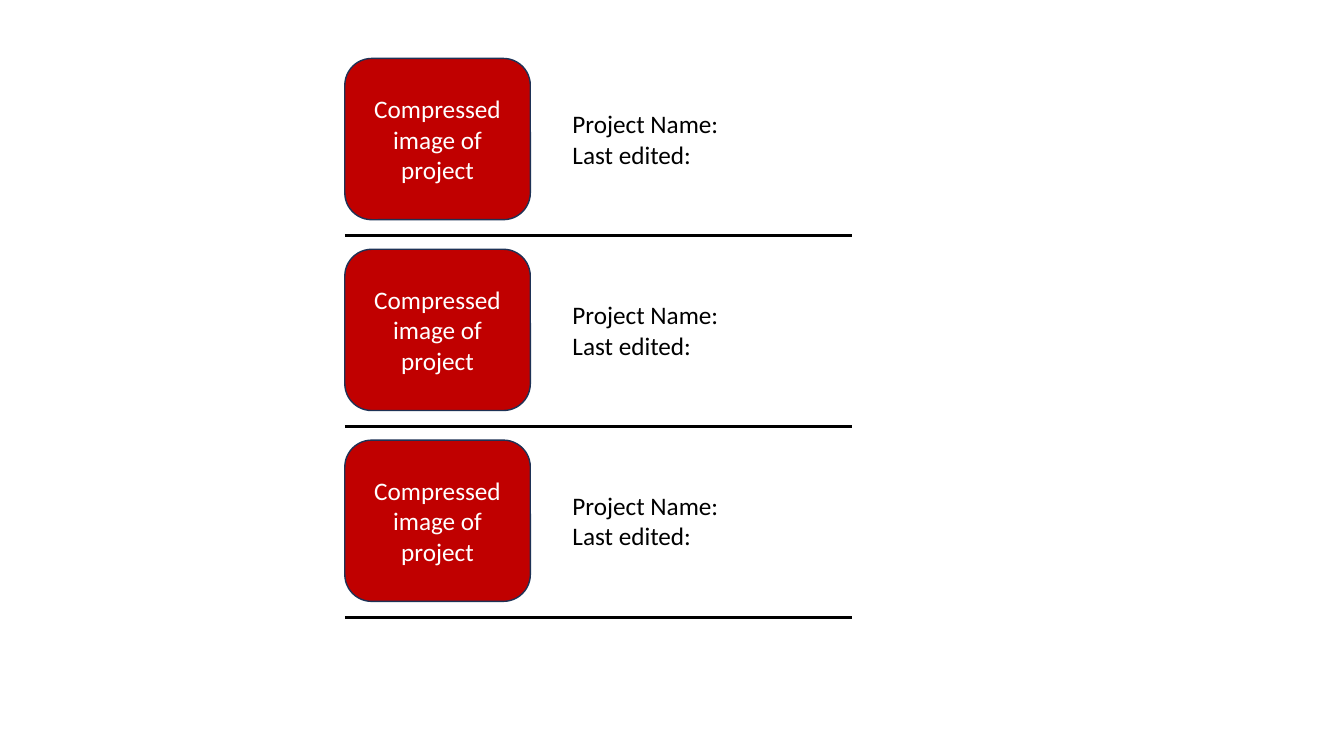
from dataclasses import dataclass

from pptx import Presentation
from pptx.dml.color import RGBColor
from pptx.enum.shapes import MSO_CONNECTOR, MSO_SHAPE
from pptx.enum.text import MSO_ANCHOR, MSO_AUTO_SIZE, PP_ALIGN
from pptx.oxml.ns import qn
from pptx.util import Inches, Pt


@dataclass(frozen=True)
class Theme:
    font: str = "Calibri"
    text_size: Pt = Pt(18)
    tile_fill: RGBColor = RGBColor(0xC0, 0x00, 0x00)
    tile_line: RGBColor = RGBColor(0x1E, 0x32, 0x56)
    tile_text: RGBColor = RGBColor(0xFF, 0xFF, 0xFF)
    ink: RGBColor = RGBColor(0x00, 0x00, 0x00)
    tile_line_width: Pt = Pt(1)
    divider_width: Pt = Pt(2)


THEME = Theme()
PROJECT_COUNT = 3


def add_text(paragraph, text, color):
    run = paragraph.add_run()
    run.text = text
    run.font.name = THEME.font
    run.font.size = THEME.text_size
    run.font.color.rgb = color


def add_project_tile(slide, left, top, width, height):
    tile = slide.shapes.add_shape(MSO_SHAPE.ROUNDED_RECTANGLE, left, top, width, height)
    tile.shadow.inherit = False
    tile.fill.solid()
    tile.fill.fore_color.rgb = THEME.tile_fill
    tile.line.color.rgb = THEME.tile_line
    tile.line.width = THEME.tile_line_width
    frame = tile.text_frame
    frame.word_wrap = True
    frame.vertical_anchor = MSO_ANCHOR.MIDDLE
    paragraph = frame.paragraphs[0]
    paragraph.alignment = PP_ALIGN.CENTER
    add_text(paragraph, "Compressed image of project", THEME.tile_text)


def add_project_details(slide, left, top, width, height):
    frame = slide.shapes.add_textbox(left, top, width, height).text_frame
    frame.word_wrap = True
    frame.auto_size = MSO_AUTO_SIZE.SHAPE_TO_FIT_TEXT
    add_text(frame.paragraphs[0], "Project Name:", THEME.ink)
    add_text(frame.add_paragraph(), "Last edited:", THEME.ink)


def add_divider(slide, left, top, width):
    divider = slide.shapes.add_connector(
        MSO_CONNECTOR.STRAIGHT, left, top, left + width, top
    )
    divider.line.color.rgb = THEME.ink
    divider.line.width = THEME.divider_width
    properties = divider.element.spPr
    properties.append(properties.makeelement(qn("a:effectLst"), {}))


def add_project_row(slide, left, top, width):
    add_project_tile(slide, left, top, Inches(1.84), Inches(1.6))
    add_project_details(
        slide, left + Inches(2.16), top + Inches(0.45), Inches(2.17), Inches(0.71)
    )
    add_divider(slide, left, top + Inches(1.76), width)


def add_project_list(slide, left, top, width, height):
    row_height = height // PROJECT_COUNT
    for index in range(PROJECT_COUNT):
        add_project_row(slide, left, top + index * row_height, width)


def main():
    presentation = Presentation()
    presentation.slide_width = Inches(13.33)
    presentation.slide_height = Inches(7.5)
    slide = presentation.slides.add_slide(presentation.slide_layouts[6])
    add_project_list(slide, Inches(3.42), Inches(0.58), Inches(5.03), Inches(5.68))
    presentation.save("out.pptx")


if __name__ == "__main__":
    main()
